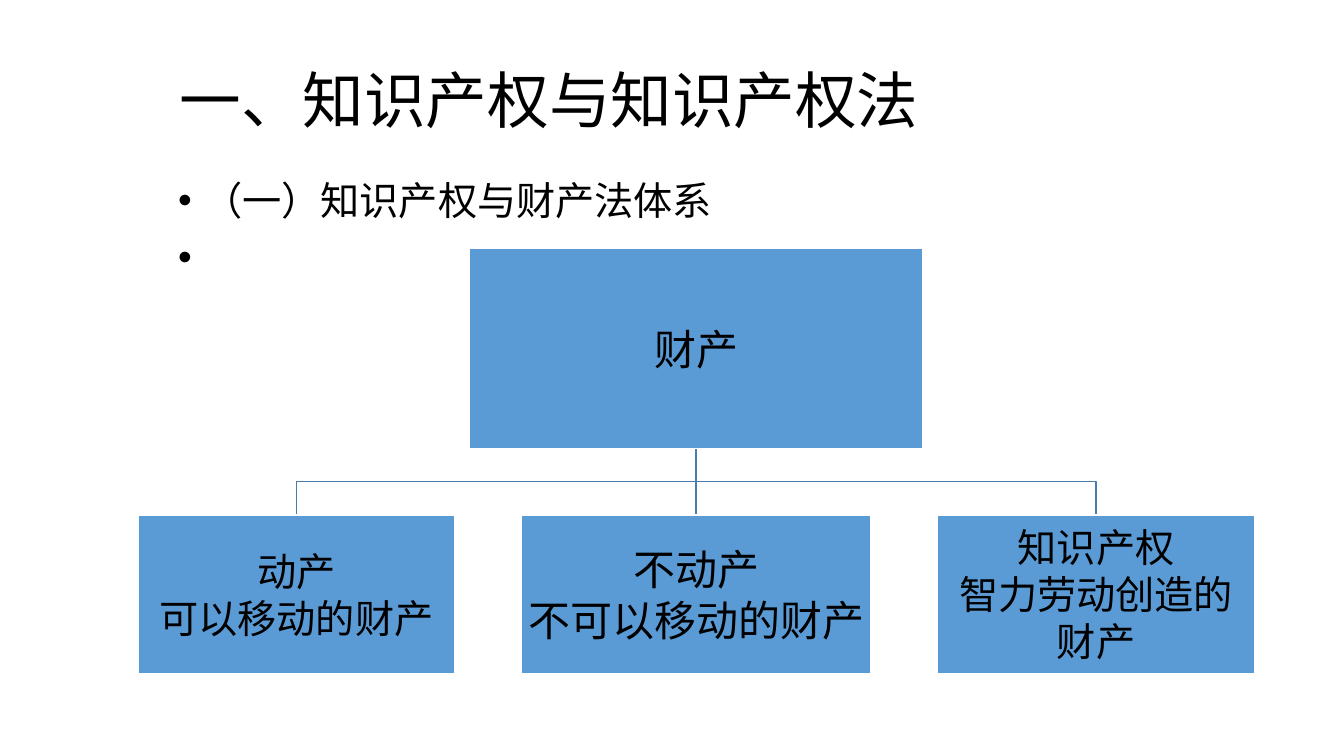
from dataclasses import dataclass

from pptx import Presentation
from pptx.dml.color import RGBColor
from pptx.enum.shapes import MSO_CONNECTOR, MSO_SHAPE
from pptx.enum.text import MSO_ANCHOR, MSO_AUTO_SIZE, PP_ALIGN
from pptx.oxml.ns import qn
from pptx.util import Pt


@dataclass(frozen=True)
class Theme:
    text: RGBColor = RGBColor(0x00, 0x00, 0x00)
    box: RGBColor = RGBColor(0x5B, 0x9B, 0xD5)
    box_line: RGBColor = RGBColor(0xFF, 0xFF, 0xFF)
    branch: RGBColor = RGBColor(0x49, 0x7C, 0xAB)
    title_font: str = "Arial Narrow"
    body_font: str = "Arial"
    box_font: str = "Roboto"
    title_size: int = 44
    body_size: int = 28
    large_size: int = 30


THEME = Theme()


@dataclass(frozen=True)
class Box:
    left: float
    top: float
    width: float
    height: float

    @property
    def center(self):
        return self.left + self.width / 2

    @property
    def bottom(self):
        return self.top + self.height

    def lengths(self):
        return [Pt(value) for value in (self.left, self.top, self.width, self.height)]


ROOT = ("财产",)
# Each kind of property: lines, box width, type size
KINDS = [
    (("动产", "可以移动的财产"), 226.2, THEME.body_size),
    (("不动产", "不可以移动的财产"), 249.2, THEME.large_size),
    (("知识产权", "智力劳动创造的财产"), 226.2, THEME.body_size),
]


def style_paragraph(paragraph, font_name, size, alignment, line_spacing=1.0):
    paragraph.alignment = alignment
    paragraph.line_spacing = line_spacing
    paragraph.font.name = font_name
    paragraph.font.size = Pt(size)
    paragraph.font.color.rgb = THEME.text


def place(placeholder, box):
    placeholder.left, placeholder.top, placeholder.width, placeholder.height = box.lengths()
    placeholder.text_frame.auto_size = MSO_AUTO_SIZE.NONE


def fill_title(slide, box, text):
    title = slide.shapes.title
    place(title, box)
    title.text_frame.text = text
    title.text_frame.vertical_anchor = MSO_ANCHOR.MIDDLE
    style_paragraph(title.text_frame.paragraphs[0], THEME.title_font,
                    THEME.title_size, PP_ALIGN.LEFT, 0.9)


def fill_list(slide, box, items):
    body = slide.placeholders[1]
    place(body, box)
    body.text_frame.text = "\n".join(items)
    for paragraph in body.text_frame.paragraphs:
        style_paragraph(paragraph, THEME.body_font, THEME.body_size, PP_ALIGN.LEFT, 0.9)
        paragraph.space_before = Pt(10)
        properties = paragraph._p.get_or_add_pPr()
        properties.set("marL", str(Pt(18)))
        properties.set("indent", str(Pt(-18)))


def add_node(slide, box, lines, size):
    node = slide.shapes.add_shape(MSO_SHAPE.RECTANGLE, *box.lengths())
    node.shadow.inherit = False
    node.fill.solid()
    node.fill.fore_color.rgb = THEME.box
    node.line.color.rgb = THEME.box_line
    node.line.width = Pt(1)
    frame = node.text_frame
    frame.word_wrap = True
    frame.vertical_anchor = MSO_ANCHOR.MIDDLE
    frame.margin_left = frame.margin_right = Pt(1.5)
    frame.margin_top = frame.margin_bottom = Pt(1.5)
    frame.text = "\n".join(lines)
    for paragraph in frame.paragraphs:
        style_paragraph(paragraph, THEME.box_font, size, PP_ALIGN.CENTER)


def add_branch(slide, parent, child):
    start = Pt(parent.center), Pt(parent.bottom)
    end = Pt(child.center), Pt(child.top)
    if abs(parent.center - child.center) < 1:
        branch = slide.shapes.add_connector(MSO_CONNECTOR.STRAIGHT, *start, start[0], end[1])
        properties = branch._element.spPr
        properties.append(properties.makeelement(qn("a:effectLst"), {}))
    else:
        middle = Pt((parent.bottom + child.top) / 2)
        builder = slide.shapes.build_freeform(*start)
        builder.add_line_segments([(start[0], middle), (end[0], middle), end], close=False)
        branch = builder.convert_to_shape()
        branch.fill.background()
        branch.shadow.inherit = False
    branch.line.color.rgb = THEME.branch
    branch.line.width = Pt(1)


def add_property_tree(slide, box):
    root_width, root_height, child_height = 323.6, 142.8, 113
    root = Box(box.center - root_width / 2, box.top, root_width, root_height)

    # Children share the width that is left over as equal gaps
    gap = (box.width - sum(width for _, width, _ in KINDS)) / (len(KINDS) - 1)
    children, left = [], box.left
    for _, width, _ in KINDS:
        children.append(Box(left, box.bottom - child_height, width, child_height))
        left += width + gap

    # Branches lie behind the nodes
    for child in children:
        add_branch(slide, root, child)
    add_node(slide, root, ROOT, THEME.large_size)
    for child, (lines, _, size) in zip(children, KINDS):
        add_node(slide, child, lines, size)


def main():
    presentation = Presentation()
    presentation.slide_width, presentation.slide_height = Pt(960), Pt(540)
    slide = presentation.slides.add_slide(presentation.slide_layouts[1])

    fill_title(slide, Box(121, 16.6, 818, 115.2), "一、知识产权与知识产权法")
    # The second bullet stands alone beside the tree
    fill_list(slide, Box(120, 126, 648, 356.4), ["（一）知识产权与财产法体系", " "])
    add_property_tree(slide, Box(98.6, 177.4, 797.4, 303.6))

    presentation.save("out.pptx")


if __name__ == "__main__":
    main()
